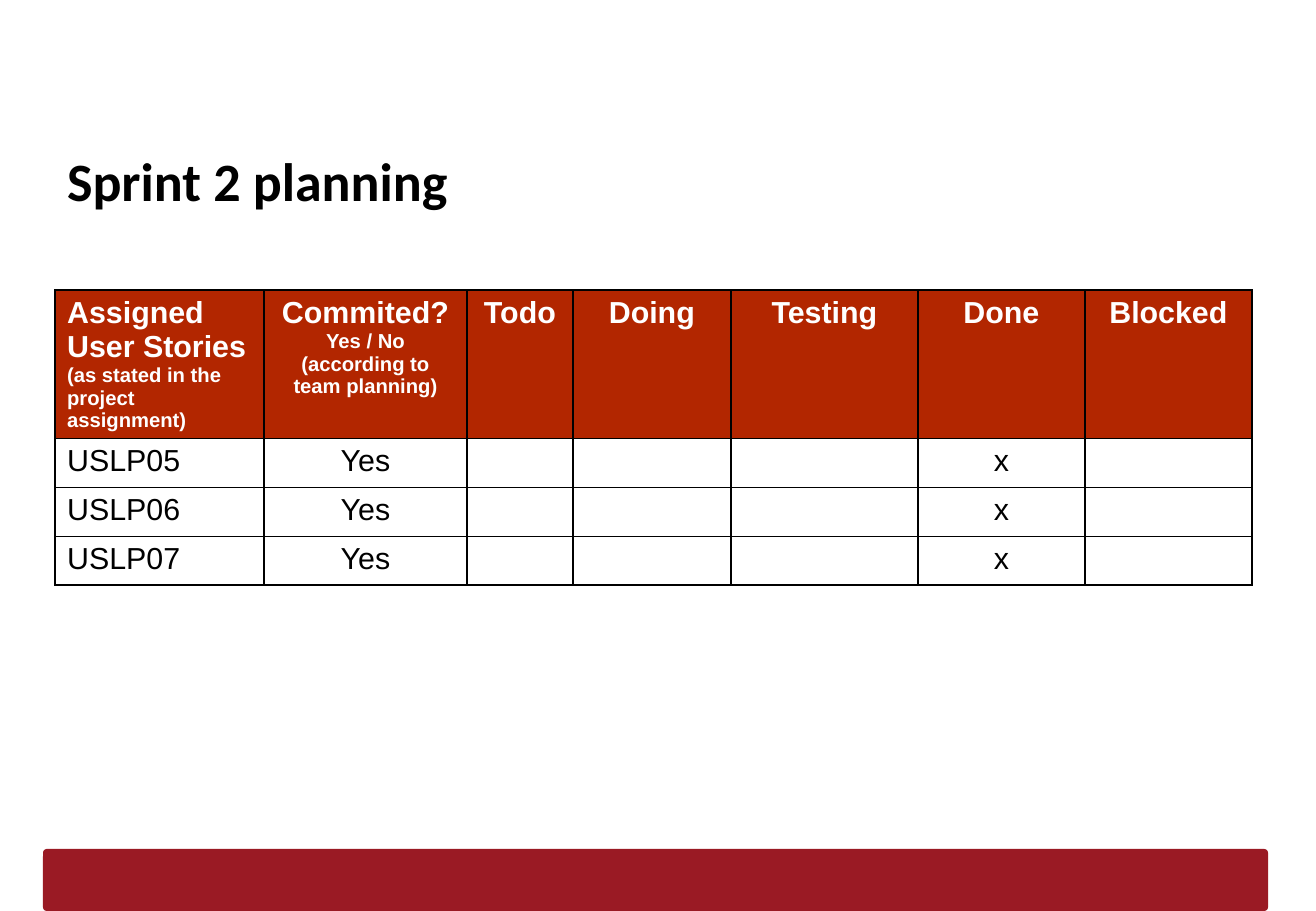
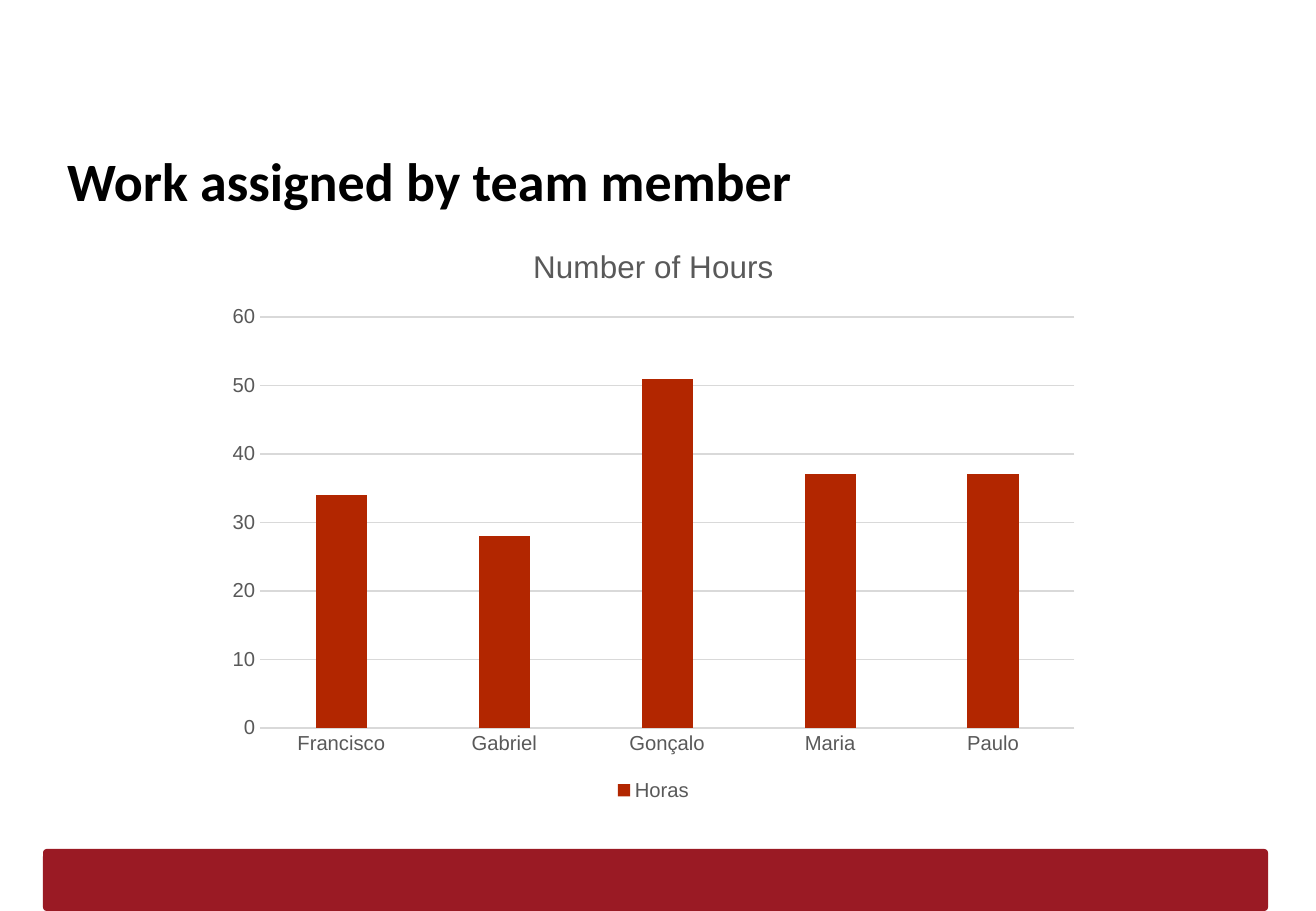
from lxml.etree import SubElement
from pptx import Presentation
from pptx.chart.data import CategoryChartData
from pptx.dml.color import RGBColor
from pptx.enum.chart import XL_CHART_TYPE, XL_LEGEND_POSITION as LegendPos, XL_TICK_MARK as Tick
from pptx.enum.shapes import MSO_SHAPE
from pptx.enum.text import MSO_ANCHOR, MSO_AUTO_SIZE, PP_ALIGN
from pptx.oxml.ns import qn
from pptx.util import Pt

EMU_PER_PX = 914400 / 121.5
BLACK, WHITE, GREY, GRID = "000000", "FFFFFF", "595959", "D9D9D9"
ACCENT, BAND = "B22600", "9A1A24"


def px(*lengths):
    """Turn pixel lengths into a list of EMU values."""
    return [round(length * EMU_PER_PX) for length in lengths]


def style(font, size, color, bold=False, name="Arial"):
    font.size, font.bold, font.name = Pt(size), bold, name
    font.color.rgb = RGBColor.from_string(color)


prs = Presentation()
prs.slide_width, prs.slide_height = px(1316, 911)

# Title and bottom band on both slides
slides = []
for heading in ("Sprint 2 planning", "Work assigned by team member"):
    slide = prs.slides.add_slide(prs.slide_layouts[5])
    slides.append(slide)

    band = slide.shapes.add_shape(MSO_SHAPE.ROUNDED_RECTANGLE, *px(43, 849, 1225, 62))
    band.adjustments[0] = 0.06
    band.shadow.inherit = False
    band.fill.solid()
    band.fill.fore_color.rgb = RGBColor.from_string(BAND)
    band.line.fill.background()

    title = slide.shapes.title
    title.left, title.top, title.width, title.height = px(55, 132, 1225, 77)
    frame = title.text_frame
    frame.text = heading
    frame.auto_size = MSO_AUTO_SIZE.NONE
    frame.vertical_anchor = MSO_ANCHOR.TOP
    frame.margin_left, frame.margin_right, frame.margin_top, frame.margin_bottom = px(12, 12, 15, 12)
    frame.paragraphs[0].alignment = PP_ALIGN.LEFT
    style(frame.paragraphs[0].font, 32, BLACK, True, "Calibri")

planning, workload = slides

# Sprint board: each header cell is a list of paragraphs, each a list of (text, size)
headers = [
    [[("Assigned User Stories ", 18), ("(as stated in the project assignment)", 12)]],
    [[("Commited?", 18)], [("Yes / No (according to team planning)", 12)]],
] + [[[(state, 18)]] for state in ("Todo", "Doing", "Testing", "Done", "Blocked")]
stories = [[[[(text, 18)]] for text in (story, "Yes", "", "", "", "x", "")]
           for story in ("USLP05", "USLP06", "USLP07")]
board_rows = [headers] + stories
column_widths = px(209, 203, 106, 158, 187, 167, 167)
row_heights = px(148, 49, 49, 49)

board = planning.shapes.add_table(len(board_rows), len(column_widths), *px(55, 290, 1197, 295)).table
for column, width in zip(board.columns, column_widths):
    column.width = width
for r, (row, height) in enumerate(zip(board_rows, row_heights)):
    board.rows[r].height = height
    for c, paragraphs in enumerate(row):
        cell = board.cell(r, c)
        for i, runs in enumerate(paragraphs):
            frame = cell.text_frame
            paragraph = frame.paragraphs[0] if i == 0 else frame.add_paragraph()
            paragraph.alignment = PP_ALIGN.CENTER if c else PP_ALIGN.LEFT
            style(paragraph.font, runs[0][1], BLACK if r else WHITE, r == 0)
            for text, size in runs:
                if text:
                    run = paragraph.add_run()
                    run.text = text
                    style(run.font, size, BLACK if r else WHITE, r == 0)
        properties = cell._tc.get_or_add_tcPr()
        for side in ("a:lnL", "a:lnR", "a:lnT", "a:lnB"):
            border = SubElement(properties, qn(side), w=str(Pt(1)))
            SubElement(SubElement(border, qn("a:solidFill")), qn("a:srgbClr"), val=BLACK)
        cell.fill.solid()
        cell.fill.fore_color.rgb = RGBColor.from_string(WHITE if r else ACCENT)

# Hours chart
hours = CategoryChartData()
hours.categories = ["Francisco", "Gabriel", "Gonçalo", "Maria", "Paulo"]
hours.add_series("Horas", [34, 28, 51, 37, 37])
chart = workload.shapes.add_chart(XL_CHART_TYPE.COLUMN_CLUSTERED, *px(215, 222, 877, 584), hours).chart
style(chart.font, 12, GREY)

chart.has_title = True
chart.chart_title.include_in_layout = False
chart.chart_title.text_frame.text = "Number of Hours"
style(chart.chart_title.text_frame.paragraphs[0].font, 18.6, GREY)

chart.has_legend = True
chart.legend.position = LegendPos.BOTTOM
chart.legend.include_in_layout = False
style(chart.legend.font, 12, GREY)

for axis in (chart.category_axis, chart.value_axis):
    axis.major_tick_mark = axis.minor_tick_mark = Tick.NONE
    style(axis.tick_labels.font, 12, GREY)
chart.value_axis.minimum_scale, chart.value_axis.maximum_scale = 0, 60
chart.value_axis.major_unit = 10
chart.value_axis.format.line.fill.background()
for line in (chart.category_axis.format.line, chart.value_axis.major_gridlines.format.line):
    line.color.rgb = RGBColor.from_string(GRID)
    line.width = Pt(0.75)

bars = chart.plots[0]
bars.gap_width, bars.overlap, bars.vary_by_categories = 219, -27, False
bars.series[0].format.fill.solid()
bars.series[0].format.fill.fore_color.rgb = RGBColor.from_string(ACCENT)

prs.save("out.pptx")
